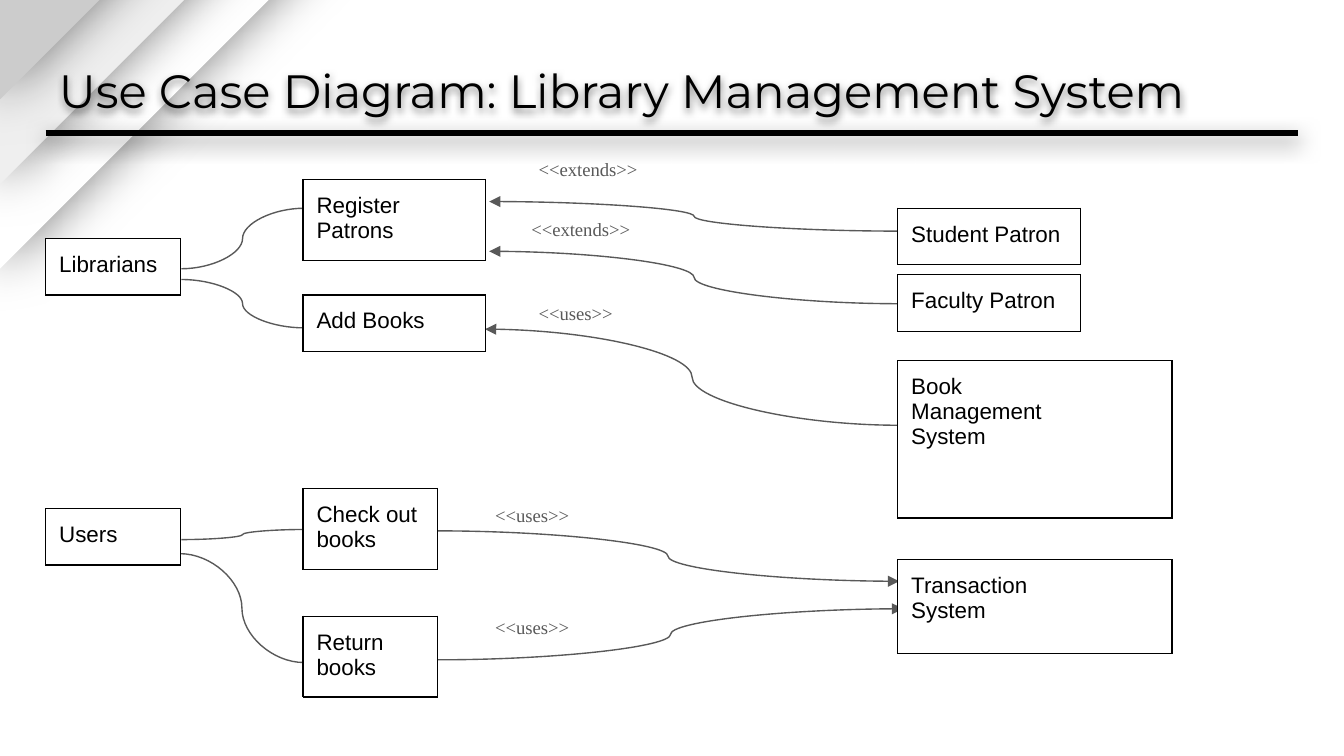
from lxml import etree
from pptx import Presentation
from pptx import util as u
from pptx.dml.color import RGBColor
from pptx.enum import shapes, text
from pptx.oxml import ns

WHITE = RGBColor(0xFF, 0xFF, 0xFF)
PALE = RGBColor(0xEF, 0xEF, 0xEF)
SILVER = RGBColor(0xCC, 0xCC, 0xCC)
GREY = RGBColor(0x59, 0x59, 0x59)
BLACK = RGBColor(0, 0, 0)

WIDE, HIGH = u.Inches(10), u.Inches(5.625)
UNIT = WIDE / 100
MID, END = 19.15, 63.4
ROW, FRAME = 4.2, 32.8

CARDS = [
    (0, 7.75, 10, ROW, "Librarians"),
    (MID, 11.95, 13.6, ROW, "Add Books"),
    (0, 27.85, 10, ROW, "Users"),
    (MID, 3.35, 13.6, ROW, "Register Patrons"),
    (MID, 26.35, 10, ROW, "Check out books"),
    (MID, 35.85, 10, ROW, "Return books"),
    (END, 5.5, 13.6, ROW, "Student Patron"),
    (END, 10.45, 13.6, ROW, "Faculty Patron"),
    (END, 16.85, 20.4, 11.7, "Book\nManagement\nSystem"),
    (END, 31.65, 20.4, 7, "Transaction\nSystem"),
]
LINKS = [
    (10.1, 10, 19.2, 5.5, False),
    (10.1, 10.8, 19.2, 14.4, False),
    (10.1, 30.15, 19.2, 29.4, False),
    (19.2, 39.3, 10, 31.2, False),
    (63.5, 7.2, 33, 5, True),
    (63.5, 12.6, 33, 8.7, True),
    (29.1, 29.5, 63.5, 33.25, True),
    (29.2, 39.1, 63.8, 35.3, True),
    (63.5, 21.65, 32.7, 14.5, True),
]
NOTES = [
    (35.7, 0.9, 43.8, "<<extends>>"),
    (35.15, 5.35, 12.3, "<<extends>>"),
    (35.7, 11.6, 8.5, "<<uses>>"),
    (32.45, 26.65, 8.5, "<<uses>>"),
    (32.45, 35, 8.5, "<<uses>>"),
]


def grid(*cells):
    """Turn grid cells into slide lengths."""
    return [u.Emu(round(n * UNIT)) for n in cells]


def node(parent, tag, **attrs):
    """Append an XML child with the given attributes."""
    child = etree.SubElement(parent, ns.qn(tag))
    for key, val in attrs.items():
        child.set(key, str(val))
    return child


def shade(shape, blur=0, dist=0):
    """Replace the theme shadow by a soft one, or by none."""
    effects = node(shape.element.spPr, "a:effectLst")
    if blur:
        outer = node(effects, "a:outerShdw", blurRad=u.Pt(blur), dist=u.Pt(dist),
                     dir=5400000, algn="bl", rotWithShape=0)
        node(node(outer, "a:srgbClr", val=BLACK), "a:alpha", val=50000)


def style(par, face, size, color):
    """Set the font of a paragraph."""
    par.font.name, par.font.size = face, u.Pt(size)
    par.font.color.rgb = color


def label(slide, box, words, face, size, color):
    """Place a line of text with even insets."""
    shape = slide.shapes.add_textbox(*grid(*box))
    frame = shape.text_frame
    frame.word_wrap = True
    frame.margin_left = frame.margin_right = u.Inches(0.1)
    frame.margin_top = frame.margin_bottom = u.Inches(0.1)
    frame.text = words
    style(frame.paragraphs[0], face, size, color)
    return shape


def link(slide, ends, kind, color, width):
    """Join two points by a connector."""
    line = slide.shapes.add_connector(kind, *grid(*ends))
    line.line.color.rgb, line.line.width = color, u.Pt(width)
    return line


def card(slide, box, words):
    """Place a bordered one-cell table."""
    frame = slide.shapes.add_table(1, 1, *grid(*box))
    frame.width, frame.height = grid(FRAME, FRAME)
    table = frame.table
    table.first_row = table.horz_banding = False
    cell = table.cell(0, 0)
    cell.margin_left = cell.margin_right = u.Inches(0.1)
    cell.margin_top = cell.margin_bottom = u.Inches(0.1)
    cell.text = words
    for par in cell.text_frame.paragraphs:
        style(par, "Arial", 12, BLACK)
    props = cell._tc.get_or_add_tcPr()
    for side in "LRTB":
        edge = node(props, f"a:ln{side}", w=u.Pt(0.75))
        node(node(edge, "a:solidFill"), "a:srgbClr", val=BLACK)
    cell.fill.solid()
    cell.fill.fore_color.rgb = WHITE


def corner(slide, box):
    """Stack shaded triangles in the top left corner."""
    left, top, size = box
    for step, color in enumerate((WHITE, PALE, SILVER)):
        side = size - 6.3 * step
        shape = slide.shapes.add_shape(
            shapes.MSO_SHAPE.RIGHT_TRIANGLE, *grid(left, top, side, side))
        shape.rotation = 180
        shape.element.spPr.find(ns.qn("a:xfrm")).set("flipH", "1")
        shape.fill.solid()
        shape.fill.fore_color.rgb = color
        shape.line.fill.background()
        shade(shape, 28.1)


def header(slide, box):
    """Place the title over a heavy rule."""
    left, top, width, height = box
    title = label(slide, (left, top - 0.15, width, height),
                  "Use Case Diagram: Library Management System",
                  "Montserrat", 25, BLACK)
    title.text_frame.vertical_anchor = text.MSO_ANCHOR.BOTTOM
    shade(title, 4.5, 1.5)
    base = top + height
    rule = link(slide, (left, base, left + width, base),
                shapes.MSO_CONNECTOR.STRAIGHT, BLACK, 3)
    shade(rule, 11.2, 3.8)


def flow(slide, box):
    """Draw the use case diagram."""
    left, top = box
    for x, y, far, low, arrow in LINKS:
        ends = left + x, top + y, left + far, top + low
        line = link(slide, ends, shapes.MSO_CONNECTOR.CURVE, GREY, 0.75)
        if arrow:
            node(line.element.spPr.find(ns.qn("a:ln")), "a:tailEnd", type="triangle")
        shade(line)
    for x, y, width, words in NOTES:
        note = label(slide, (left + x, top + y, width, 3.7), words,
                     "Times New Roman", 10, GREY)
        note.text_frame.auto_size = text.MSO_AUTO_SIZE.SHAPE_TO_FIT_TEXT
    for x, y, width, height, words in CARDS:
        card(slide, (left + x, top + y, width, height), words)


def main():
    """Build and save the slide."""
    deck = Presentation()
    deck.slide_width, deck.slide_height = WIDE, HIGH
    slide = deck.slides.add_slide(deck.slide_layouts[6])
    corner(slide, (0, -16.3, 36.3))
    header(slide, (3.4, 3.6, 93.2, 6.3))
    flow(slide, (3.4, 10))
    deck.save("out.pptx")


if __name__ == "__main__":
    main()
